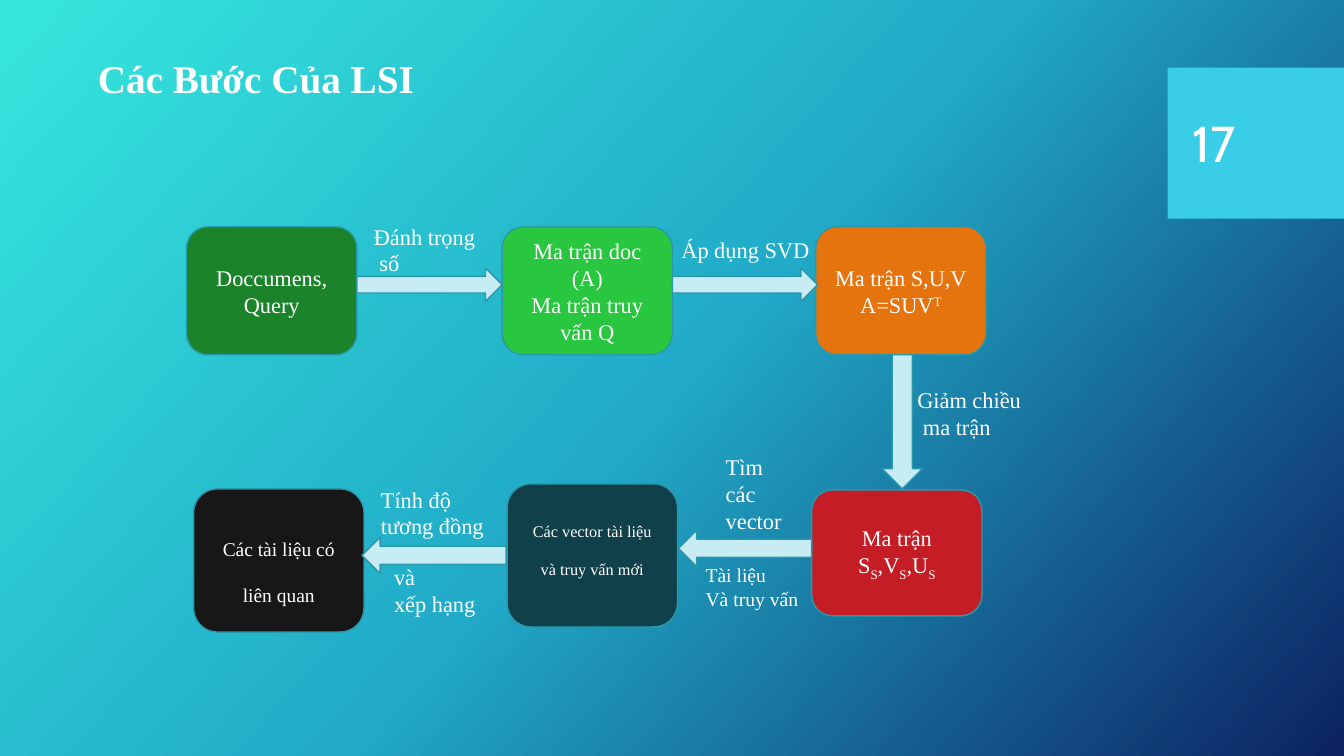
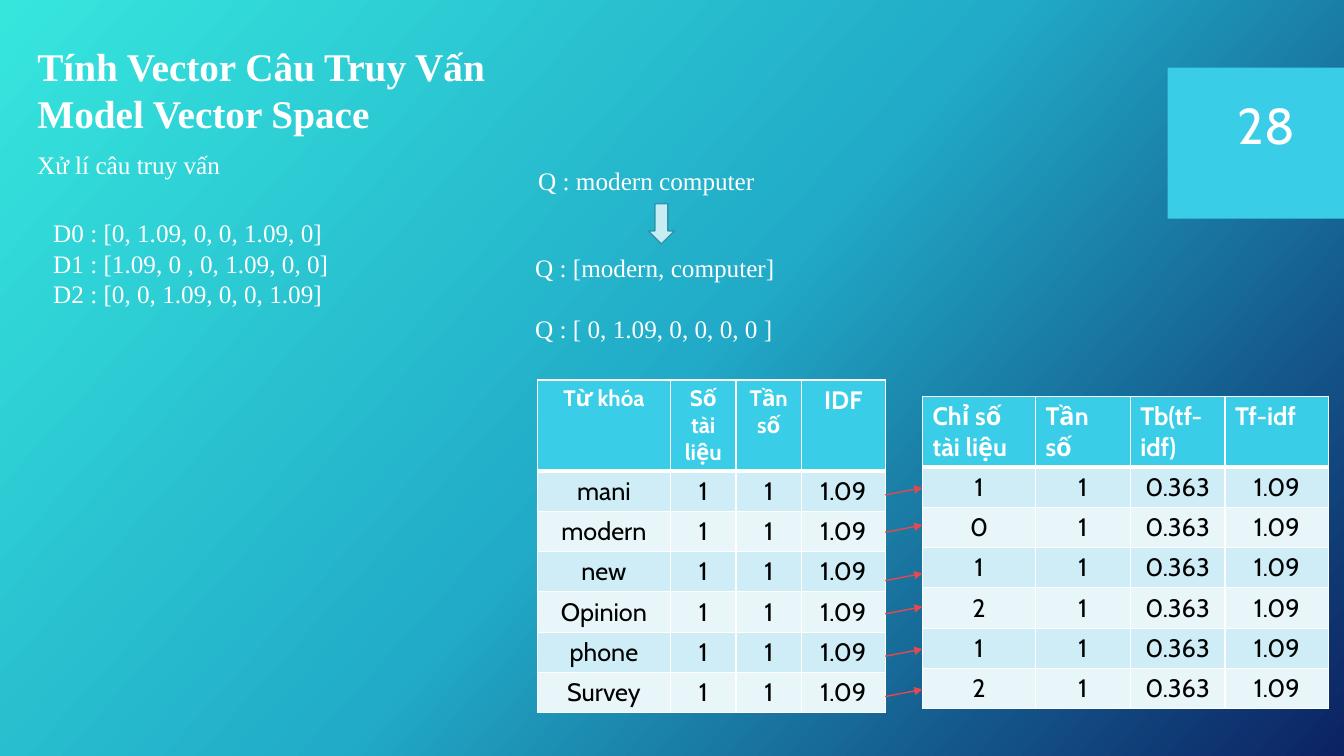
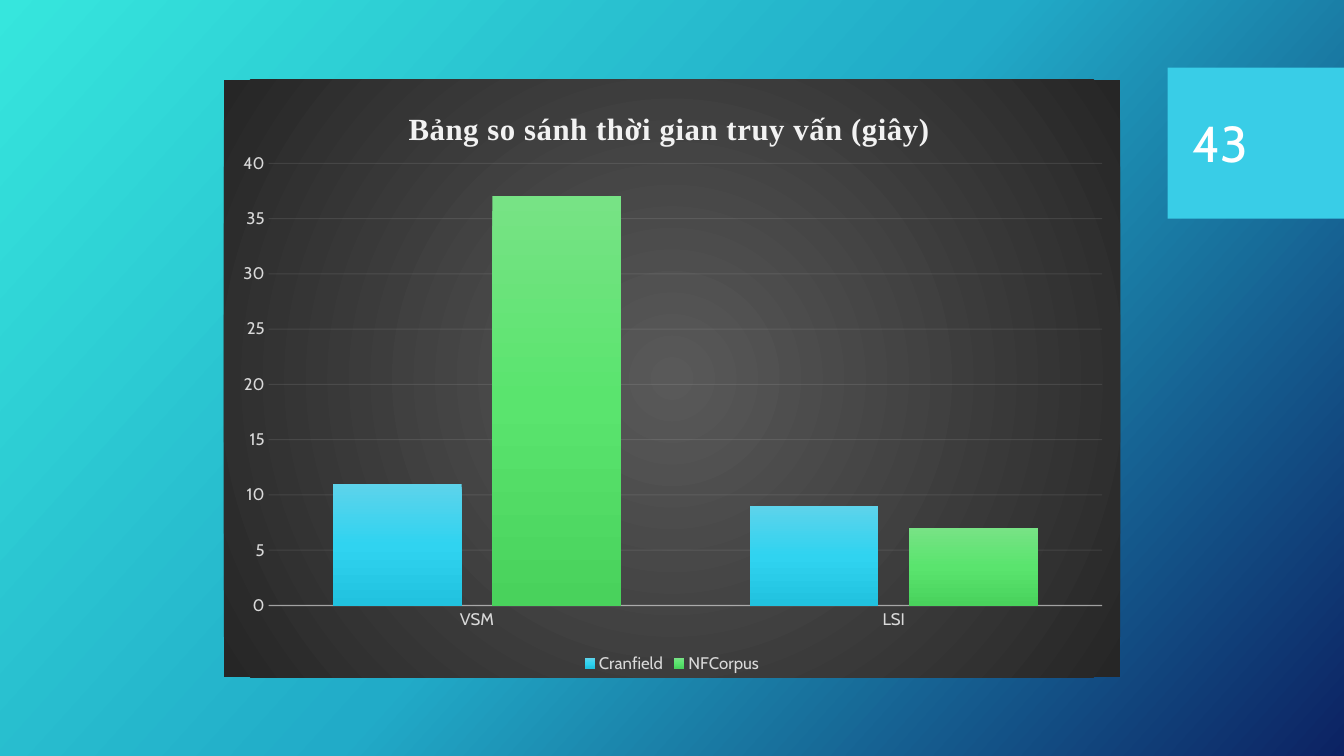
from lxml import etree
from pptx import Presentation
from pptx.chart.data import CategoryChartData
from pptx.dml.color import RGBColor
from pptx.enum.chart import XL_CHART_TYPE, XL_LEGEND_POSITION, XL_TICK_MARK
from pptx.enum.shapes import MSO_CONNECTOR, MSO_SHAPE
from pptx.enum.text import MSO_ANCHOR, MSO_AUTO_SIZE, PP_ALIGN
from pptx.oxml import parse_xml
from pptx.oxml.ns import nsdecls, qn
from pptx.util import Inches, Pt

TOP, MIDDLE = MSO_ANCHOR.TOP, MSO_ANCHOR.MIDDLE
LEFT, CENTER = PP_ALIGN.LEFT, PP_ALIGN.CENTER
RECT, ROUNDED = MSO_SHAPE.RECTANGLE, MSO_SHAPE.ROUNDED_RECTANGLE
RIGHT_ARROW, LEFT_ARROW = MSO_SHAPE.RIGHT_ARROW, MSO_SHAPE.LEFT_ARROW
DOWN_ARROW = MSO_SHAPE.DOWN_ARROW
NO_TICK = XL_TICK_MARK.NONE

SERIF, SANS = "Times New Roman", "Cabin"
TITLE_ONLY, BLANK = 5, 6

COLORS = {
    "white": "FFFFFF", "black": "000000", "accent": "39CDE7",
    "outline": "2A98AB", "arrow": "C8ECF4", "link": "E44951",
    "band_dark": "CEEDF6", "band_light": "E8F6FA",
    "documents": "1B842A", "matrices": "29C63F", "svd": "E5730E",
    "reduced": "C51D26", "vectors": "10404A", "results": "181717",
    "chart_line": "F2F2F2", "chart_text": "D9D9D9",
}
BACKGROUND = [(0, "36E6DD"), (50, "21ABC8"), (100, "0C2263")]
CHART_AREA = [(0, "595959"), (100, "262626")]
SERIES_FILLS = [
    [(0, "5DD3EB"), (50, "30D3F0"), (100, "21C2DF")],
    [(0, "77E385"), (50, "5AE46E"), (100, "49D25C")],
]


def rgb(name):
    return RGBColor.from_string(COLORS[name])


def inches(*lengths):
    return [Inches(length) for length in lengths]


def apply(target, **values):
    for name, value in values.items():
        setattr(target, name, value)


def set_font(font, size, face=SERIF, color="white", bold=False):
    apply(font, size=Pt(size), name=face, bold=bold)
    font.color.rgb = rgb(color)


def gradient(stops, angle=None):
    """Return gradFill XML: linear at an angle, or circular from the centre."""
    marks = "".join(
        f'<a:gs pos="{pos * 1000}"><a:srgbClr val="{color}"/></a:gs>'
        for pos, color in stops)
    if angle is None:
        shade = ('<a:path path="circle"><a:fillToRect l="50000" t="50000" '
                 'r="50000" b="50000"/></a:path>')
    else:
        shade = f'<a:lin ang="{angle * 60000}" scaled="0"/>'
    return (f'<a:gradFill {nsdecls("a")} rotWithShape="1">'
            f'<a:gsLst>{marks}</a:gsLst>{shade}</a:gradFill>')


def write(frame, paragraphs, size, face=SERIF, color="white", bold=False,
          align=LEFT, gap=0):
    """Fill a frame; a paragraph is a string or a list of (text, baseline)."""
    for index, content in enumerate(paragraphs):
        paragraph = frame.paragraphs[0] if index == 0 else frame.add_paragraph()
        paragraph.alignment = align
        if index and gap:
            paragraph.space_before = Pt(gap)
        pieces = [(content, 0)] if isinstance(content, str) else content
        for text, baseline in pieces:
            run = paragraph.add_run()
            run.text = text
            set_font(run.font, size, face, color, bold)
            if baseline:
                run.font._element.set("baseline", str(baseline * 1000))


def add_text(slide, box, paragraphs, size, **style):
    frame = slide.shapes.add_textbox(*inches(*box)).text_frame
    apply(frame, word_wrap=False, auto_size=MSO_AUTO_SIZE.SHAPE_TO_FIT_TEXT)
    write(frame, paragraphs, size, **style)


def add_block(slide, kind, box, fill, outline="outline"):
    block = slide.shapes.add_shape(kind, *inches(*box))
    block.shadow.inherit = False
    block.fill.solid()
    block.fill.fore_color.rgb = rgb(fill)
    if outline:
        block.line.color.rgb = rgb(outline)
        block.line.width = Pt(1)
    else:
        block.line.fill.background()
    return block


def add_title(slide, box, lines):
    title = slide.shapes.title
    apply(title, **dict(zip(("left", "top", "width", "height"), inches(*box))))
    apply(title.text_frame, word_wrap=True, vertical_anchor=TOP,
          auto_size=MSO_AUTO_SIZE.NONE)
    write(title.text_frame, lines, 28, bold=True)


def add_number(slide, number, left=11.73, top=0.82):
    frame = slide.shapes.add_textbox(*inches(left, top, 1.26, 1.19)).text_frame
    apply(frame, word_wrap=True, vertical_anchor=MIDDLE)
    write(frame, [number], 36, face=SANS)


def style_master(prs, slide):
    """Give the master the gradient background and the slide number block."""
    master = prs.slide_master
    master.background.fill.solid()
    properties = master.element.find(".//" + qn("p:bgPr"))
    properties.replace(properties[0], parse_xml(gradient(BACKGROUND, 42)))
    block = add_block(slide, RECT, (11.58, 0.67, 1.75, 1.5), "accent", None)
    master.shapes.element.append(block.element)


def lsi_flow(slide, left, top):
    steps = [
        (0, 0, 1.27, "documents", 16, ["Doccumens,", "Query"]),
        (3.13, 0, 1.27, "matrices", 16,
         ["Ma trận doc (A)", "Ma trận truy vấn Q"]),
        (6.24, 0, 1.27, "svd", 16,
         ["Ma trận S,U,V", [("A=SUV", 0), ("T", 30)]]),
        (6.2, 2.61, 1.25, "reduced", 16,
         [[("Ma trận S", 0), ("S", -25), (",V", 0), ("S", -25),
           (",U", 0), ("S", -25)]]),
        (3.18, 2.55, 1.42, "vectors", 20,
         [[("Các vector tài liệu và truy vấn mới", -25)]]),
        (0.07, 2.6, 1.42, "results", 24,
         [[("Các tài liệu có liên quan", -25)]]),
    ]
    arrows = [
        (RIGHT_ARROW, 1.69, 0.41, 1.44, 0.33),
        (RIGHT_ARROW, 4.82, 0.41, 1.44, 0.33),
        (DOWN_ARROW, 6.9, 1.27, 0.4, 1.33),
        (LEFT_ARROW, 4.88, 3.01, 1.32, 0.36),
        (LEFT_ARROW, 1.74, 3.08, 1.43, 0.36),
    ]
    labels = [
        (1.76, -0.09, 1.22, 0.64, 16, ["Đánh trọng", " số"]),
        (4.81, 0.04, 1.48, 0.37, 16, ["Áp dụng SVD"]),
        (7.15, 1.53, 1.25, 0.64, 16, ["Giảm chiều", " ma trận"]),
        (5.25, 2.2, 0.76, 0.91, 16, ["Tìm", "các", "vector"]),
        (5.05, 3.29, 1.13, 0.57, 14, ["Tài liệu", "Và truy vấn"]),
        (1.83, 2.52, 1.23, 0.64, 16, ["Tính độ", "tương đồng"]),
        (1.96, 3.29, 1.02, 0.64, 16, ["và", "xếp hạng"]),
    ]
    for x, y, height, fill, size, lines in steps:
        step = add_block(slide, ROUNDED, (left + x, top + y, 1.69, height), fill)
        apply(step.text_frame, word_wrap=True, vertical_anchor=MIDDLE)
        if fill == "vectors":
            step.text_frame.margin_bottom = Inches(0.34)
        write(step.text_frame, lines, size, align=CENTER)
    for kind, x, y, width, height in arrows:
        add_block(slide, kind, (left + x, top + y, width, height), "arrow")
    for x, y, width, height, size, lines in labels:
        add_text(slide, (left + x, top + y, width, height), lines, size)


def set_borders(cell, top, bottom):
    properties = cell._tc.get_or_add_tcPr()
    sides = (("L", 1), ("R", 1), ("T", top), ("B", bottom))
    for index, (side, width) in enumerate(sides):
        properties.insert(index, parse_xml(
            f'<a:ln{side} {nsdecls("a")} w="{Pt(width)}"><a:solidFill>'
            f'<a:srgbClr val="{COLORS["white"]}"/></a:solidFill></a:ln{side}>'))


def index_table(slide, left, top, widths, header_height, row_height, rows,
                header_sizes, header_align):
    height = header_height + row_height * (len(rows) - 1)
    table = slide.shapes.add_table(
        len(rows), len(widths), *inches(left, top, sum(widths), height)).table
    table.horz_banding = False
    for column, width in zip(table.columns, widths):
        column.width = Inches(width)
    for r, values in enumerate(rows):
        table.rows[r].height = Inches(row_height if r else header_height)
        fill = ("band_light", "band_dark")[r % 2] if r else "accent"
        for c, value in enumerate(values):
            cell = table.cell(r, c)
            cell.fill.solid()
            cell.fill.fore_color.rgb = rgb(fill)
            set_borders(cell, 3 if r == 1 else 1, 1 if r else 3)
            write(cell.text_frame, [value], 18 if r else header_sizes[c],
                  face=SANS, color="black" if r else "white", bold=r == 0,
                  align=CENTER if r else header_align)


def add_links(slide, start, end, heights, drop):
    """Draw arrows between two x positions, each rising by the drop."""
    for y in heights:
        link = slide.shapes.add_connector(
            MSO_CONNECTOR.STRAIGHT, *inches(start, y, end, y - drop))
        link.line.color.rgb = rgb("link")
        link.line.width = Pt(1)
        etree.SubElement(link.line._get_or_add_ln(), qn("a:tailEnd"),
                         type="triangle")
        etree.SubElement(link.element.spPr, qn("a:effectLst"))


def query_vectors(slide, left, top):
    add_text(slide, (left, top, 2.04, 0.4), ["Xử lí câu truy vấn"], 18)
    add_text(slide, (left + 0.16, top + 0.68, 2.96, 1.01),
             ["D0 : [0, 1.09, 0, 0, 1.09, 0]", "D1 : [1.09, 0 , 0, 1.09, 0, 0]",
              "D2 : [0, 0, 1.09, 0, 0, 1.09]"], 18)
    add_text(slide, (left + 4.97, top + 0.16, 2.43, 0.4),
             ["Q : modern computer"], 18)
    add_block(slide, DOWN_ARROW, (left + 6.16, top + 0.59, 0.26, 0.4), "arrow")
    add_text(slide, (left + 4.94, top + 1.02, 2.6, 1.01),
             ["Q : [modern, computer]", "Q : [ 0, 1.09, 0, 0, 0, 0 ]"], 18,
             gap=22)


def query_tables(slide, left, top):
    keywords = ["mani", "modern", "new", "Opinion", "phone", "Survey"]
    documents = ["1", "0", "1", "2", "1", "2"]
    second = left + 3.82
    index_table(slide, second, top + 0.16, (1.12, 0.94, 0.94, 1.03), 0.7, 0.4,
                [["Chỉ số tài liệu", "Tần số", "Tb(tf-idf)", "Tf-idf"]]
                + [[document, "1", "0.363", "1.09"] for document in documents],
                [18] * 4, LEFT)
    index_table(slide, left, top, (1.32, 0.65, 0.65, 0.83), 0.9, 0.4,
                [["Từ khóa", "Số tài liệu", "Tần số", "IDF"]]
                + [[keyword, "1", "1", "1.09"] for keyword in keywords],
                [16, 16, 16, 18], CENTER)
    heights = [top + y for y in (1.14, 1.51, 1.99, 2.32, 2.74, 3.14)]
    add_links(slide, left + 3.45, second, heights, 0.07)


def chart_layout(**values):
    """Return a manual layout from fractions of the chart's size."""
    marks = "".join(f'<c:{name} val="{value}"/>' for name, value in values.items())
    return parse_xml(f'<c:layout {nsdecls("c")}><c:manualLayout>{marks}'
                     '</c:manualLayout></c:layout>')


def place_part(part, layout, index):
    for old in part.findall(qn("c:layout")):
        part.remove(old)
    part.insert(index, layout)


def style_line(line, width, opacity):
    line.color.rgb = rgb("chart_line")
    line.width = Pt(width)
    color = line._get_or_add_ln().find(".//" + qn("a:srgbClr"))
    etree.SubElement(color, qn("a:alpha"), val=str(opacity * 1000))


def query_time_chart(slide, box):
    data = CategoryChartData()
    data.categories = ["VSM", "LSI"]
    data.add_series("Cranfield", (11, 9))
    data.add_series("NFCorpus", (37, 7))
    chart = slide.shapes.add_chart(
        XL_CHART_TYPE.COLUMN_CLUSTERED, *inches(*box), data).chart
    set_font(chart.font, 10, SANS)

    chart.has_title = True
    title = chart.chart_title.text_frame
    write(title, ["Bảng so sánh thời gian truy vấn (giây)"], 22,
          color="chart_line", bold=True, align=CENTER)
    title.paragraphs[0].runs[0].font._element.set("spc", "50")
    chart.chart_title.include_in_layout = False

    chart.has_legend = True
    apply(chart.legend, position=XL_LEGEND_POSITION.BOTTOM,
          include_in_layout=False)
    set_font(chart.legend.font, 12, SANS, "chart_text")

    for axis in (chart.category_axis, chart.value_axis):
        apply(axis, major_tick_mark=NO_TICK, minor_tick_mark=NO_TICK)
        set_font(axis.tick_labels.font, 12, SANS, "chart_text")
    style_line(chart.category_axis.format.line, 1, 54)
    apply(chart.value_axis, minimum_scale=0, maximum_scale=40, major_unit=5)
    chart.value_axis.format.line.fill.background()
    style_line(chart.value_axis.major_gridlines.format.line, 0.75, 10)

    plot = chart.plots[0]
    apply(plot, gap_width=100, overlap=-24, vary_by_categories=False)
    for series, stops in zip(plot.series, SERIES_FILLS):
        series.format.fill.solid()
        solid = series._element.find(".//" + qn("a:solidFill"))
        solid.getparent().replace(solid, parse_xml(gradient(stops, 90)))

    root = chart.element
    root.find(qn("c:chart")).addnext(parse_xml(
        f'<c:spPr {nsdecls("c", "a")}>{gradient(CHART_AREA)}'
        '<a:ln><a:noFill/></a:ln></c:spPr>'))
    place_part(root.find(".//" + qn("c:title")),
               chart_layout(xMode="edge", yMode="edge", x=0.2, y=0.04), 1)
    place_part(root.find(".//" + qn("c:plotArea")),
               chart_layout(layoutTarget="inner", xMode="edge", yMode="edge",
                            x=0.05, y=0.14, w=0.93, h=0.74), 0)


def main():
    prs = Presentation()
    prs.slide_width, prs.slide_height = inches(13.33, 7.5)
    steps, query, timing = [
        prs.slides.add_slide(prs.slide_layouts[layout])
        for layout in (TITLE_ONLY, TITLE_ONLY, BLANK)]
    style_master(prs, steps)

    add_title(steps, (0.87, 0.49, 6, 0.57), ["Các Bước Của LSI"])
    add_number(steps, "17")
    lsi_flow(steps, 1.85, 2.25)

    add_title(query, (0.27, 0.37, 10.54, 1.04),
              ["Tính Vector Câu Truy Vấn", "Model Vector Space"])
    add_number(query, "28", 12.18, 0.64)
    query_vectors(query, 0.27, 1.43)
    query_tables(query, 5.33, 3.77)

    add_number(timing, "43")
    query_time_chart(timing, (2.22, 0.79, 8.89, 5.93))
    prs.save("out.pptx")


if __name__ == "__main__":
    main()
